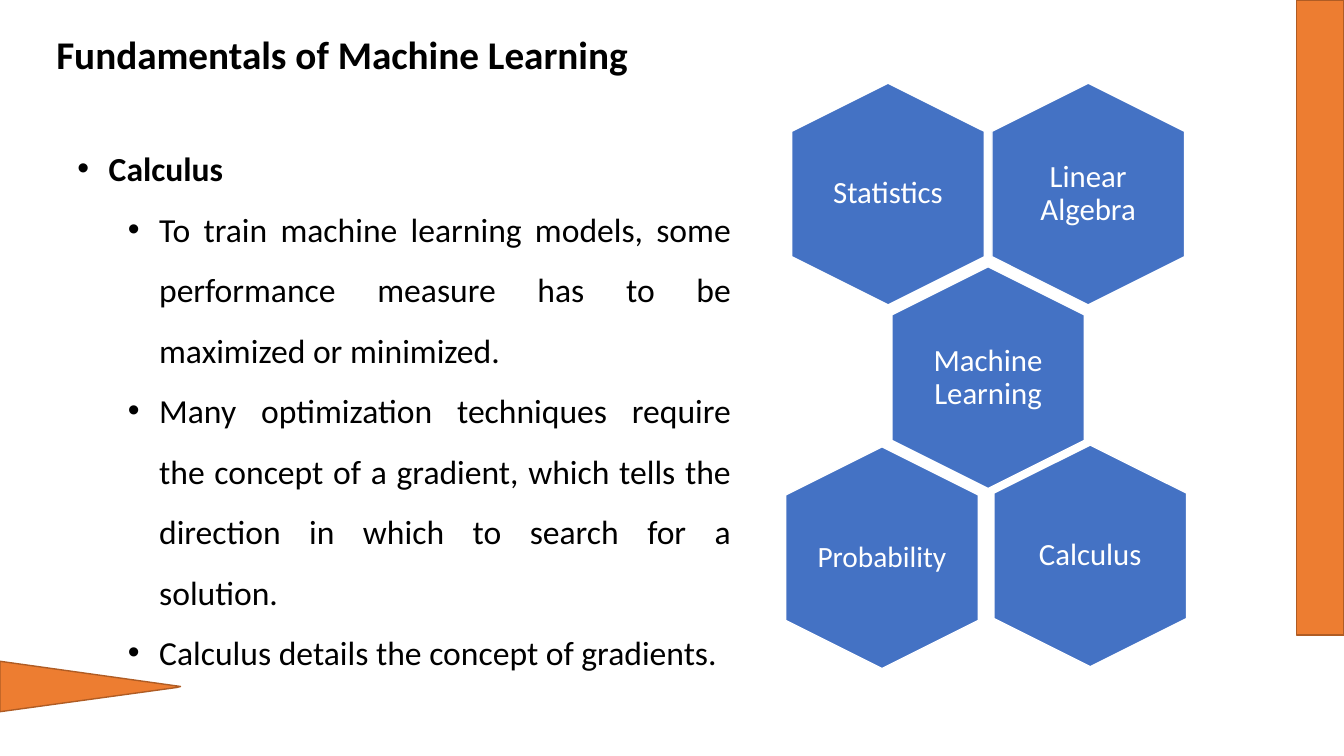
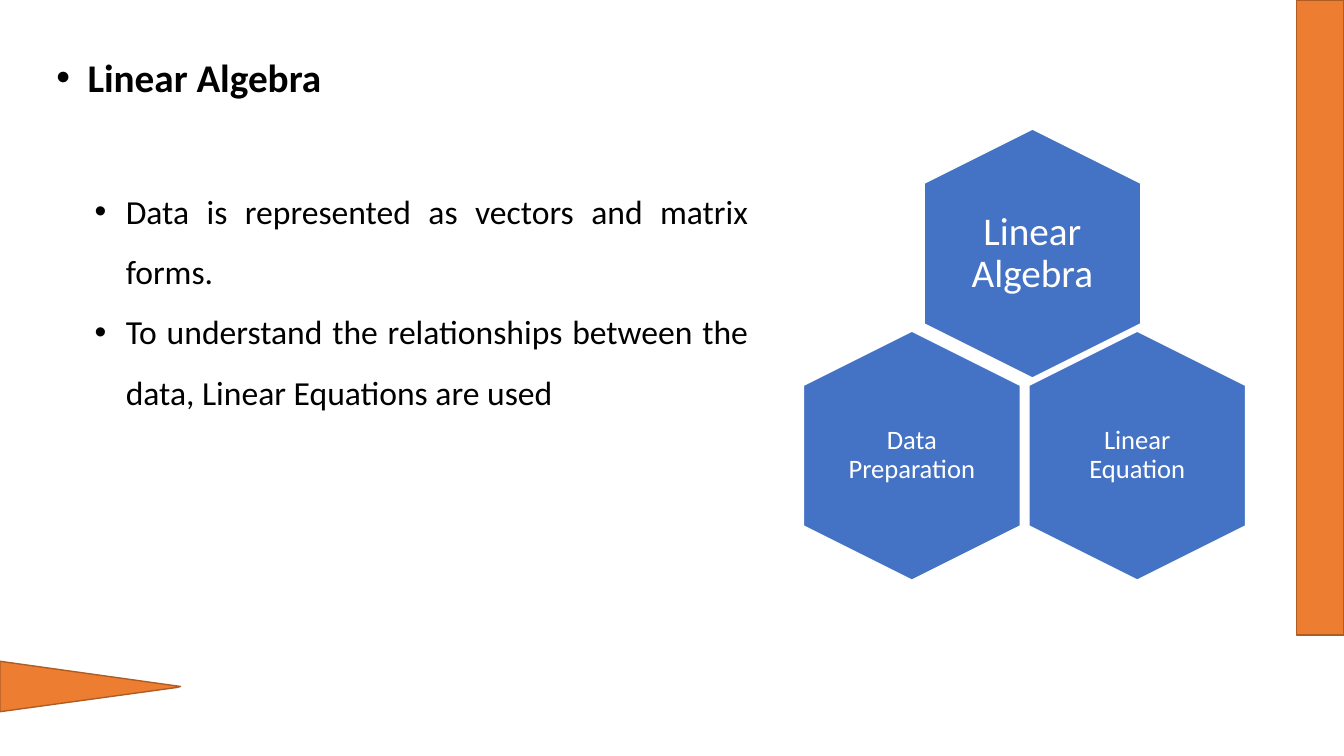
from dataclasses import dataclass

from lxml import etree
from pptx import Presentation
from pptx import util as u
from pptx.dml.color import RGBColor
from pptx.enum import shapes, text
from pptx.oxml.ns import qn


@dataclass(frozen=True)
class Theme:
    font: str = "Calibri"
    ink: str = "000000"
    white: str = "FFFFFF"
    cell: str = "4472C4"
    band: str = "ED7D31"
    edge: str = "AF5C24"
    head: int = 28
    body: int = 24
    large: int = 22
    mid: int = 21
    small: int = 19
    hang: float = 0.31
    step: float = 0.5


@dataclass(frozen=True)
class Box:
    """A region, in hundredths of the slide's width and height."""
    x: float
    y: float
    w: float
    h: float

    def emu(self):
        return [round(v * side / 100) for v, side in
                zip((self.x, self.y, self.w, self.h), (WIDE, HIGH) * 2)]


WIDE, HIGH = u.Inches(13.33), u.Inches(7.5)
T = Theme()
AL = text.PP_ALIGN


def paint(shape, fill, line):
    shape.shadow.inherit = False
    shape.fill.solid()
    shape.fill.fore_color.rgb = RGBColor.from_string(fill)
    shape.line.color.rgb = RGBColor.from_string(line)
    shape.line.width = u.Pt(1)


def style(para, size, color, align, space, bold=False):
    para.alignment = align
    para.line_spacing = space
    font = para.font
    font.name, font.size, font.bold = T.font, u.Pt(size), bold
    font.color.rgb = RGBColor.from_string(color)


def bullet(para, level):
    props = para._p.get_or_add_pPr()
    props.set("marL", str(u.Inches(T.hang + level * T.step)))
    props.set("indent", str(-u.Inches(T.hang)))
    etree.SubElement(props, qn("a:buFont")).set("typeface", "Arial")
    etree.SubElement(props, qn("a:buChar")).set("char", "•")


def upright(slide, shape, wide, high):
    """Turn a shape by a quarter so that it shows wide by high."""
    mid = shape.left + shape.width // 2, shape.top + shape.height // 2
    shape.width, shape.height = high, wide
    shape.left, shape.top = mid[0] - high // 2, mid[1] - wide // 2
    shape.rotation = 90


# Shared side band and corner wedge, held by the layout
def frame(layout, slide):
    x, y, w, h = Box(0, 87.47, 13.43, 6.67).emu()
    pen = slide.shapes.build_freeform(x, y, scale=1.0)
    pen.add_line_segments([(x + w, y + h // 2),
                           (x + round(w * 0.98), y + round(h * 0.52)),
                           (x, y + h)], close=True)
    wedge = pen.convert_to_shape()
    band = slide.shapes.add_shape(shapes.MSO_SHAPE.RECTANGLE,
                                  *Box(96.47, 0, 3.53, 84).emu())
    for num, shape in enumerate((wedge, band), 101):
        paint(shape, T.band, T.edge)
        shape.element.xpath(".//p:cNvPr")[0].set("id", str(num))
        layout.shapes.element.append(shape.element)


# Text region; each item is (words, level, bold), level None has no bullet
def prose(slide, box, size, items):
    frame = slide.shapes.add_textbox(*box.emu()).text_frame
    frame.word_wrap = True
    for num, (words, level, bold) in enumerate(items):
        para = frame.add_paragraph() if num else frame.paragraphs[0]
        para.text = words
        plain = level is None
        if not plain:
            bullet(para, level)
        style(para, size, T.ink, AL.LEFT if plain else AL.JUSTIFY,
              1.0 if plain else 1.5, bold)


# Honeycomb region; each cell is (words, half column, row, size)
def comb(slide, box, rows, cells):
    col, row, share = 0.52, 0.82, 0.69
    x, y, w, h = box.emu()
    wide, high = round(w / (1 + 2 * col)), round(h / (1 + row * rows))
    for words, across, down, size in cells:
        left = x + round(across * col * wide)
        top = y + round(down * row * high)
        hexa = slide.shapes.add_shape(shapes.MSO_SHAPE.HEXAGON,
                                      left, top, wide, high)
        hexa.adjustments[0] = 0.25
        paint(hexa, T.cell, T.white)
        upright(slide, hexa, wide, high)
        gap = (1 - share) / 2
        label = slide.shapes.add_textbox(
            left + round(wide * gap), top + round(high * gap),
            round(wide * share), round(high * share)).text_frame
        label.word_wrap = True
        label.vertical_anchor = text.MSO_ANCHOR.MIDDLE
        label.margin_left = label.margin_right = 0
        label.margin_top = label.margin_bottom = 0
        label.text = words
        style(label.paragraphs[0], size, T.white, AL.CENTER, 0.9)


def basics(slide):
    prose(slide, Box(3.45, 3.33, 51.69, 7.6), T.head,
          [("Fundamentals of Machine Learning", None, True)])
    comb(slide, Box(58.91, 11, 29.22, 77.44), 2, [
        ("Statistics", 0, 0, T.large),
        ("Machine Learning", 1, 1.01, T.large),
        ("Probability", -0.06, 2, T.mid),
        ("Calculus", 2.02, 1.99, T.large),
        ("Linear Algebra", 2, 0, T.large)])
    prose(slide, Box(5.03, 16.27, 50.11, 73.2), T.body, [
        ("Calculus", 0, True),
        ("To train machine learning models, some performance measure "
         "has to be maximized or minimized.", 1, False),
        ("Many optimization techniques require the concept of a gradient, "
         "which tells the direction in which to search for a solution.",
         1, False),
        ("Calculus details the concept of gradients.", 1, False)])


def algebra(slide):
    prose(slide, Box(3.45, 3.33, 51.69, 9.73), T.head,
          [("Linear Algebra", 0, True)])
    comb(slide, Box(59.78, 17.07, 32.9, 59.94), 1, [
        ("Data Preparation", 0, 0.99, T.small),
        ("Linear Algebra", 1.07, 0, T.head),
        ("Linear Equation", 2, 0.99, T.small)])
    prose(slide, Box(6.3, 21.87, 50.11, 32.8), T.body, [
        ("Data is represented as vectors and matrix forms.", 0, False),
        ("To understand the relationships between the data, "
         "Linear Equations are used", 0, False)])


def main():
    deck = Presentation()
    deck.slide_width, deck.slide_height = WIDE, HIGH
    blank = deck.slide_layouts[6]
    for num, build in enumerate((basics, algebra)):
        slide = deck.slides.add_slide(blank)
        if not num:
            frame(blank, slide)
        build(slide)
    deck.save("out.pptx")


if __name__ == "__main__":
    main()
